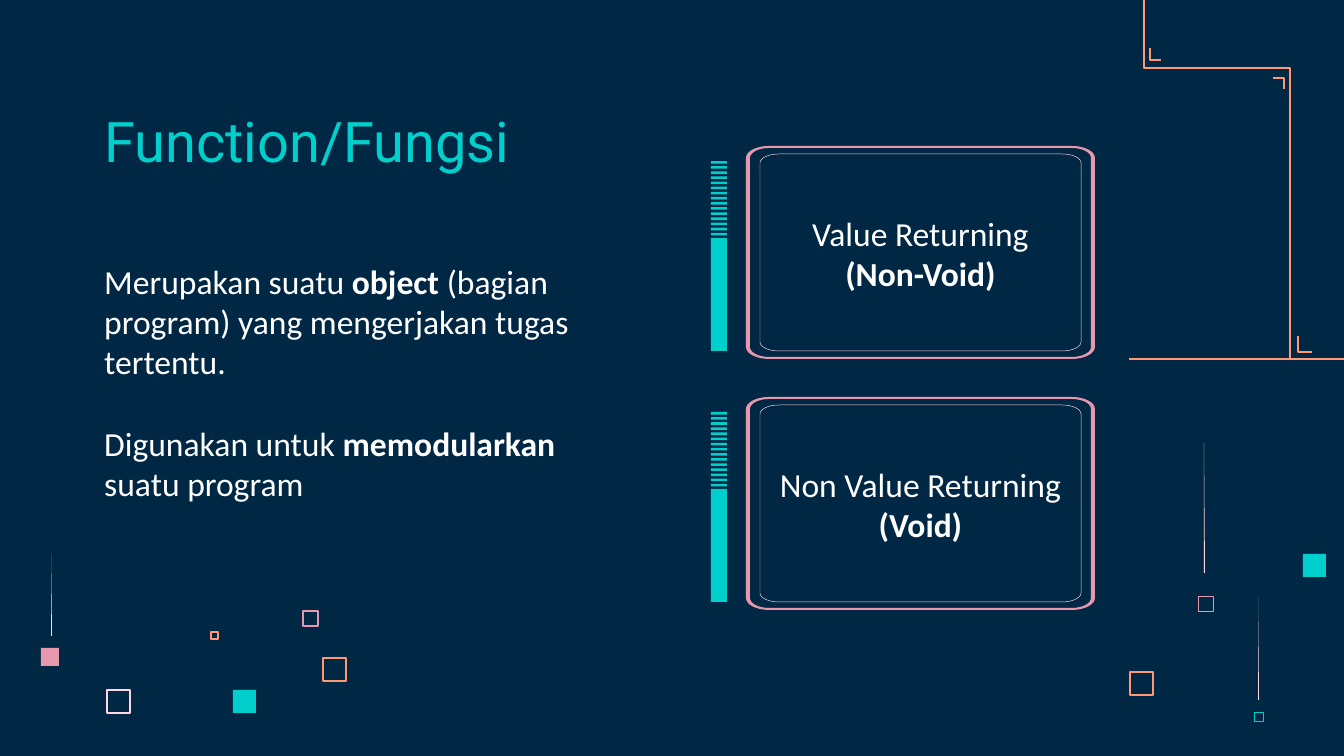
import math

import pptx
import pptx.dml.color
import pptx.enum.shapes
import pptx.enum.text
import pptx.util

PX = 914400 / 134.4
COLORS = {
    "navy": "002845", "teal": "00CFCC", "rose": "E898AC",
    "blush": "FFD6E1", "orange": "FF9973", "white": "FFFFFF",
}
SHAPE = pptx.enum.shapes.MSO_SHAPE
ALIGN = pptx.enum.text.PP_ALIGN
ANCHOR = pptx.enum.text.MSO_ANCHOR
BODY = {"size": 18, "name": "Calibri", "color": "white"}
TITLE = {"size": 30, "name": "Roboto", "color": "teal"}


def emu(px):
    return pptx.util.Emu(round(px * PX))


def rgb(name):
    return pptx.dml.color.RGBColor.from_string(COLORS[name])


def paint(sp, fill=None, line=None, width=1):
    sp.shadow.inherit = False
    if fill:
        sp.fill.solid()
        sp.fill.fore_color.rgb = rgb(fill)
    else:
        sp.fill.background()
    if line:
        sp.line.color.rgb = rgb(line)
        sp.line.width = pptx.util.Pt(width)
    else:
        sp.line.fill.background()


def rect(s, x, y, w, h, **look):
    sp = s.shapes.add_shape(SHAPE.RECTANGLE, emu(x), emu(y), emu(w), emu(h))
    paint(sp, **look)


def outline(s, contours, close=True, **look):
    """Draw one freeform from lists of (x, y) points; nested contours cut holes."""
    contours = [[(emu(x), emu(y)) for x, y in c] for c in contours]
    fb = s.shapes.build_freeform(*contours[0][0])
    for i, c in enumerate(contours):
        if i:
            fb.move_to(*c[0])
        fb.add_line_segments(c[1:], close=close)
    paint(fb.convert_to_shape(), **look)


def rounded(x, y, w, h, rx, ry, steps=8):
    """Points of a rectangle whose corners are quarter ellipses."""
    centers = [(x + w - rx, y + h - ry), (x + rx, y + h - ry),
               (x + rx, y + ry), (x + w - rx, y + ry)]
    points = []
    for quarter, (cx, cy) in enumerate(centers):
        for i in range(steps + 1):
            a = (quarter + i / steps) * math.pi / 2
            points.append((cx + rx * math.cos(a), cy + ry * math.sin(a)))
    return points


def text(s, x, y, w, h, paragraphs, style, anchor=ANCHOR.TOP, align=ALIGN.LEFT, gap=0):
    """Paragraphs are lists of (words, bold); gap is the space between them in points."""
    tf = s.shapes.add_textbox(emu(x), emu(y), emu(w), emu(h)).text_frame
    frame = {"word_wrap": True, "vertical_anchor": anchor}
    frame.update({f"margin_{side}": pptx.util.Inches(0.1)
                  for side in ("left", "right", "top", "bottom")})
    for key, value in frame.items():
        setattr(tf, key, value)
    for i, runs in enumerate(paragraphs):
        p = tf.add_paragraph() if i else tf.paragraphs[0]
        p.alignment = align
        p.space_before = pptx.util.Pt(gap if i else 0)
        for words, bold in runs:
            r = p.add_run()
            r.text = words
            font = {"size": pptx.util.Pt(style["size"]), "name": style["name"], "bold": bold}
            for key, value in font.items():
                setattr(r.font, key, value)
            r.font.color.rgb = rgb(style["color"])


def striped_bar(s, x, y, w, h, stripes=15):
    solid = 113
    pitch = (h - solid) / stripes
    for i in range(stripes):
        rect(s, x, y + i * pitch, w, pitch / 2, fill="teal")
    rect(s, x, y + h - solid, w, solid, fill="teal")


def card(s, x, y, w, h, kind, keyword):
    fx, fw = x + 35, w - 35
    outline(s, [rounded(fx, y, fw, h, 23, 12),
                rounded(fx + 4, y + 2, fw - 8, h - 4, 19, 10)], fill="rose")
    outline(s, [rounded(fx + 14, y + 8, fw - 28, h - 16, 19, 9)], line="blush", width=0.25)
    striped_bar(s, x, y + 15, 16, h - 23)
    text(s, fx + 14, y + 45, fw - 28, 124, [[(kind, False)], [(keyword, True)]],
         BODY, ANCHOR.MIDDLE, ALIGN.CENTER)


def circuit(s, x, y, w, h):
    """Orange stepped line with corner marks, over a base line."""
    base = s.shapes.add_connector(pptx.enum.shapes.MSO_CONNECTOR.STRAIGHT,
                                  emu(x), emu(y + h), emu(x + w), emu(y + h))
    base.line.color.rgb = rgb("orange")
    base.line.width = pptx.util.Pt(1)
    pptx.oxml.xmlchemy.OxmlElement
    base._element.spPr.append(pptx.oxml.xmlchemy.OxmlElement("a:effectLst"))
    paths = [
        [(15, 0), (15, 68), (161, 68), (161, h)],
        [(21, 48), (21, 60), (32, 60)],
        [(144, 78), (155, 78), (155, 89)],
        [(169, 336), (169, 352), (183, 352)],
    ]
    for path in paths:
        outline(s, [[(x + dx, y + dy) for dx, dy in path]], close=False, line="orange")


def confetti(s, x, y, solids, hollows, trails):
    """Squares as (x, y, side, colour[, line width]); trails as (x, top, bottom)."""
    for dx, dy, side, color in solids:
        rect(s, x + dx, y + dy, side, side, fill=color)
    for dx, dy, side, color, width in hollows:
        rect(s, x + dx, y + dy, side, side, line=color, width=width)
    for dx, top, bottom in trails:
        outline(s, [[(x + dx, y + top), (x + dx, y + bottom), (x + dx + 1, y + bottom)]],
                fill="blush")


def build():
    prs = pptx.Presentation()
    prs.slide_width, prs.slide_height = emu(1344), emu(756)
    s = prs.slides.add_slide(prs.slide_layouts[6])
    s.background.fill.solid()
    s.background.fill.fore_color.rgb = rgb("navy")

    confetti(s, 40, 554,
             solids=[(1, 94, 18, "rose"), (193, 136, 23, "teal")],
             hollows=[(67, 136, 23, "blush", 1), (263, 57, 15, "rose", 0.75),
                      (171, 78, 7, "orange", 0.75), (283, 104, 23, "orange", 0.75)],
             trails=[(11, 0, 82)])
    confetti(s, 1129, 442,
             solids=[(174, 112, 23, "teal")],
             hollows=[(69, 154, 15, "rose", 0.25), (125, 270, 9, "teal", 0.25),
                      (1, 230, 23, "orange", 0.75)],
             trails=[(75, 0, 131), (129, 156, 258)])

    text(s, 91, 247, 520, 308, [
        [("Merupakan suatu ", False), ("object", True),
         (" (bagian program) yang mengerjakan tugas tertentu.", False)],
        [("Digunakan untuk ", False), ("memodularkan", True), (" suatu program", False)],
    ], BODY, gap=22)
    text(s, 91, 102, 509, 85, [[("Function/Fungsi", False)]], TITLE, ANCHOR.BOTTOM)

    circuit(s, 1129, 0, 215, 359)
    cards = [("Value Returning", "(Non-Void)"), ("Non Value Returning", "(Void)")]
    for i, (kind, keyword) in enumerate(cards):
        card(s, 711, 146 + i * 251, 384, 213, kind, keyword)
    prs.save("out.pptx")


if __name__ == "__main__":
    build()
